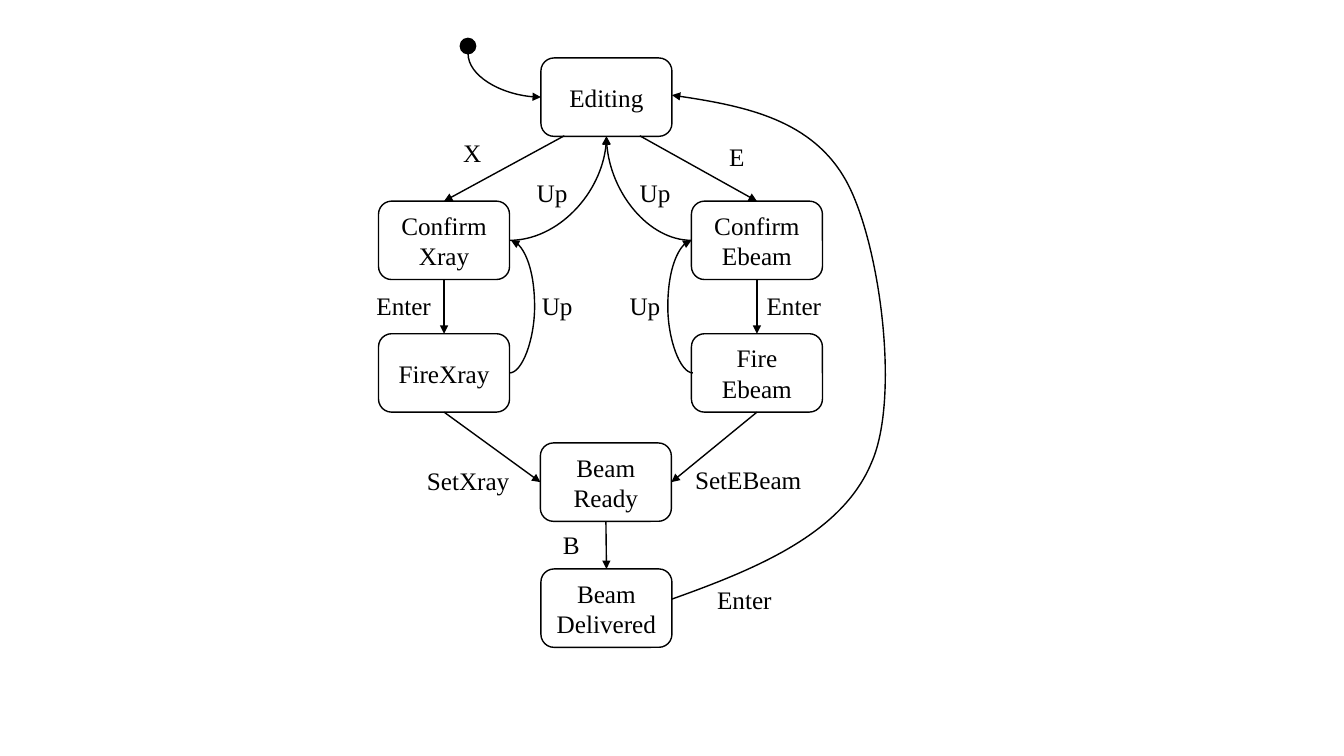
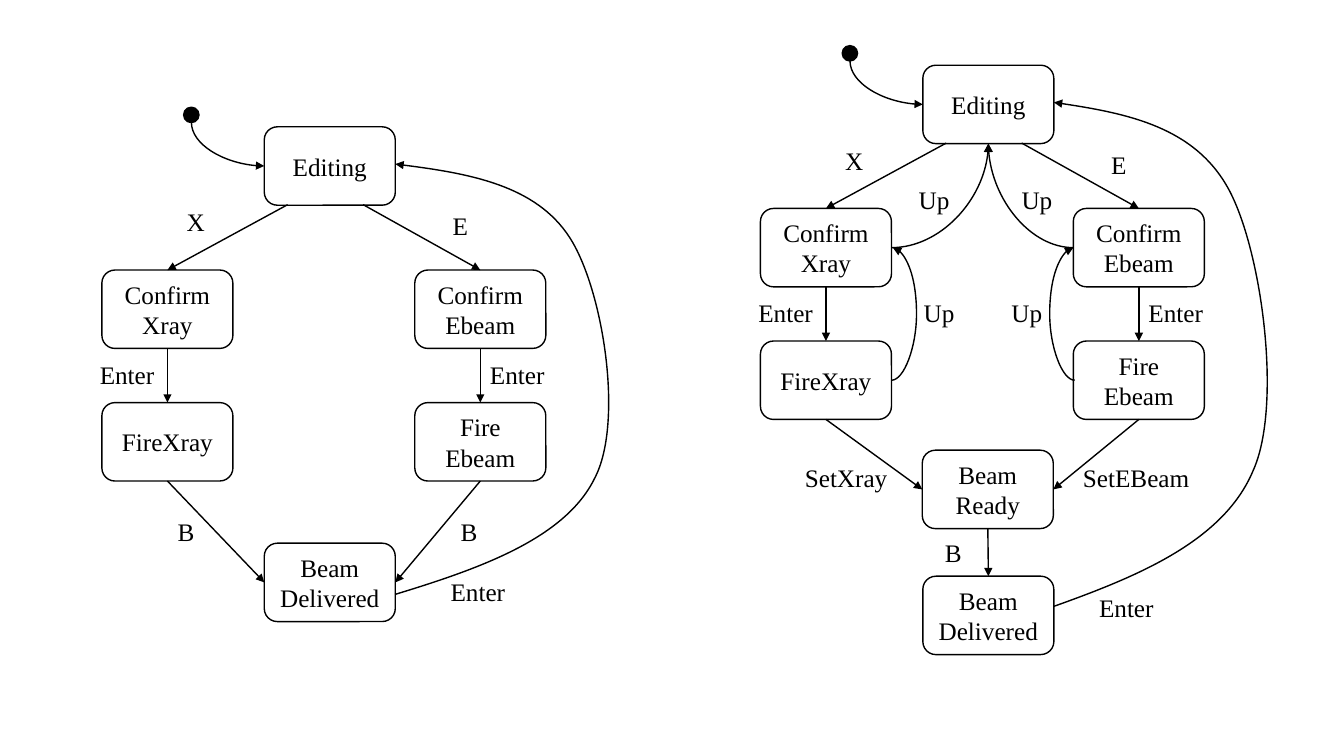
from dataclasses import dataclass

from lxml.etree import SubElement
from pptx import Presentation
from pptx.dml.color import RGBColor
from pptx.enum.shapes import MSO_CONNECTOR as CXN, MSO_SHAPE as SHAPE
from pptx.enum.text import MSO_ANCHOR, MSO_AUTO_SIZE, PP_ALIGN
from pptx.oxml.ns import qn
from pptx.util import Pt

COLORS = {"ink": "000000", "paper": "FFFFFF"}
FONT = "Times New Roman"
BOX_W, BOX_H = 93.6, 56
MID_X, MID_Y = BOX_W / 2, BOX_H / 2
LEFT_X, RIGHT_X = -116, 107.5
CONFIRM_Y, FIRE_Y, READY_Y = 102.3, 197, 275
TOP, LEFT, BOTTOM, RIGHT = range(4)
LOOP_TOP = 26.6
LOOP = [(93.4, 1), (154, 0.94), (215, 0.87), (236, 0.73), (257, 0.6),
        (242, 0.29), (218, 0.17), (194, 0.05), (144, 0.02), (93.6, 0)]


@dataclass(frozen=True)
class State:
    text: str
    x: float
    y: float


@dataclass(frozen=True)
class Label:
    text: str
    x: float
    y: float
    w: float


@dataclass(frozen=True)
class Move:
    source: str
    side_out: int
    target: str
    side_in: int


@dataclass(frozen=True)
class Chart:
    states: list[State]
    moves: list[Move]
    labels: list[Label]
    loop_h: float
    has_up: bool


COMMON_STATES = [
    State("Editing", 0, 0),
    State("Confirm Xray", LEFT_X, CONFIRM_Y),
    State("Confirm Ebeam", RIGHT_X, CONFIRM_Y),
    State("FireXray", LEFT_X, FIRE_Y),
    State("Fire Ebeam", RIGHT_X, FIRE_Y),
]
COMMON_MOVES = [
    Move("Confirm Xray", BOTTOM, "FireXray", TOP),
    Move("Confirm Ebeam", BOTTOM, "Fire Ebeam", TOP),
]
COMMON_LABELS = [
    Label("X", -62.6, 53.3, 27),
    Label("E", 127.4, 56.2, 26),
    Label("Enter", -124.6, 162.5, 55),
    Label("Enter", 154.1, 162.5, 55),
]


def fire_moves(target: str) -> list[Move]:
    return [Move("FireXray", BOTTOM, target, LEFT),
            Move("Fire Ebeam", BOTTOM, target, RIGHT)]


def short_chart() -> Chart:
    return Chart(
        COMMON_STATES + [State("Beam Delivered", 0, 297.4)],
        COMMON_MOVES + fire_moves("Beam Delivered"),
        COMMON_LABELS + [Label("B", -69.1, 274.3, 26.5),
                         Label("B", 133.2, 274.3, 26.5),
                         Label("Enter", 126, 317.5, 55)],
        307.4, False)


def full_chart(xray: Label, ebeam: Label) -> Chart:
    return Chart(
        COMMON_STATES + [State("Beam Ready", -0.4, READY_Y),
                         State("Beam Delivered", 0, 365)],
        COMMON_MOVES + fire_moves("Beam Ready")
        + [Move("Beam Ready", BOTTOM, "Beam Delivered", TOP)],
        COMMON_LABELS + [Label("Up", -10.1, 81.4, 37),
                         Label("Up", 63.4, 81.4, 37),
                         Label("Up", -6.5, 162.5, 37),
                         Label("Up", 56.2, 162.5, 37),
                         Label("B", 8.6, 333.4, 26.5),
                         Label("Enter", 118.8, 372.6, 55), xray, ebeam],
        360, True)


def rgb(name: str) -> RGBColor:
    return RGBColor.from_string(COLORS[name])


def style_text(tf, text: str) -> None:
    p = tf.paragraphs[0]
    p.text = text
    p.font.name, p.font.size = FONT, Pt(18)
    p.font.color.rgb = rgb("ink")


def style_line(sp, arrow: str = "") -> None:
    sp.line.color.rgb = rgb("ink")
    sp.line.width = Pt(1)
    if arrow:
        ln = sp._element.spPr.find(qn("a:ln"))
        SubElement(ln, qn(f"a:{arrow}"), type="triangle")


class Diagram:
    def __init__(self, s, x: float, y: float) -> None:
        self.shapes, self.x, self.y = s.shapes, x, y

    def at(self, x: float, y: float) -> tuple[int, int]:
        return Pt(self.x + x), Pt(self.y + y)

    def solid(self, kind, x: float, y: float, w: float, h: float, fill: str):
        sp = self.shapes.add_shape(kind, *self.at(x, y), Pt(w), Pt(h))
        sp.shadow.inherit = False
        sp.fill.solid()
        sp.fill.fore_color.rgb = rgb(fill)
        style_line(sp)
        return sp

    def state(self, state: State):
        sp = self.solid(SHAPE.ROUNDED_RECTANGLE, state.x, state.y,
                        BOX_W, BOX_H, "paper")
        tf = sp.text_frame
        tf.word_wrap = True
        tf.vertical_anchor = MSO_ANCHOR.MIDDLE
        style_text(tf, state.text)
        tf.paragraphs[0].alignment = PP_ALIGN.CENTER
        return sp

    def label(self, label: Label) -> None:
        sp = self.shapes.add_textbox(*self.at(label.x, label.y),
                                     Pt(label.w), Pt(29))
        tf = sp.text_frame
        tf.word_wrap = False
        tf.auto_size = MSO_AUTO_SIZE.SHAPE_TO_FIT_TEXT
        style_text(tf, label.text)

    def connector(self, kind, start: tuple[float, float],
                  end: tuple[float, float], arrow: str = "tailEnd"):
        c = self.shapes.add_connector(kind, *self.at(*start), *self.at(*end))
        style_line(c, arrow)
        SubElement(c._element.spPr, qn("a:effectLst"))
        return c

    def quarter(self, start: tuple[float, float], end: tuple[float, float],
                arrow: str = "tailEnd") -> None:
        c = self.connector(CXN.CURVE, start, end, arrow)
        c._element.spPr.find(qn("a:prstGeom")).set("prst", "curvedConnector2")

    def bulge(self, start: tuple[float, float], end: tuple[float, float]) -> None:
        c = self.connector(CXN.CURVE, start, end)
        geom = c._element.spPr.find(qn("a:prstGeom"))
        av = geom.find(qn("a:avLst"))
        if av is None:
            av = SubElement(geom, qn("a:avLst"))
        SubElement(av, qn("a:gd"), name="adj1", fmla="val 1800000")

    def loop(self, height: float) -> None:
        pts = [self.at(x, LOOP_TOP + f * height) for x, f in LOOP]
        fb = self.shapes.build_freeform(*pts[0])
        fb.add_line_segments(pts[1:], close=False)
        sp = fb.convert_to_shape()
        sp.shadow.inherit = False
        sp.fill.background()
        style_line(sp, "tailEnd")
        path = next(sp._element.iter(qn("a:path")))
        segments = path.findall(qn("a:lnTo"))
        for i in range(0, len(segments), 3):
            curve = SubElement(path, qn("a:cubicBezTo"))
            for seg in segments[i:i + 3]:
                curve.append(seg[0])
                path.remove(seg)

    def draw(self, chart: Chart) -> None:
        boxes = {state.text: self.state(state) for state in chart.states}
        for x, target in ((16.7, "Confirm Xray"), (70.6, "Confirm Ebeam")):
            c = self.connector(CXN.STRAIGHT, (x, BOX_H - 0.4), (x, CONFIRM_Y))
            c.end_connect(boxes[target], TOP)
        for m in chart.moves:
            c = self.connector(CXN.STRAIGHT, (0, 0), (0, 0))
            c.begin_connect(boxes[m.source], m.side_out)
            c.end_connect(boxes[m.target], m.side_in)
        self.solid(SHAPE.OVAL, -57.6, -14, 11, 11, "ink")
        self.quarter((0, MID_Y), (-52, -3), "headEnd")
        if chart.has_up:
            inner, y = LEFT_X + BOX_W, CONFIRM_Y + MID_Y
            for x in (inner, RIGHT_X):
                self.quarter((x, y), (MID_X, BOX_H))
            for x, step in ((inner, 1), (RIGHT_X + 1, -1)):
                self.bulge((x, FIRE_Y + MID_Y), (x + step, y))
        self.loop(chart.loop_h)
        for label in chart.labels:
            self.label(label)


def main() -> None:
    prs = Presentation()
    prs.slide_width, prs.slide_height = Pt(960), Pt(540)
    single = full_chart(Label("SetXray", -88.6, 287.3, 74),
                        Label("SetEBeam", 103, 286.6, 91))
    paired = full_chart(Label("SetXray", -91.4, 280.2, 74),
                        Label("SetEBeam", 107.3, 280.2, 91))
    slides = [[(386.4, 41.4, single)],
              [(188.8, 90.6, short_chart()), (659.2, 46.6, paired)]]
    for charts in slides:
        s = prs.slides.add_slide(prs.slide_layouts[6])
        for x, y, chart in charts:
            Diagram(s, x, y).draw(chart)
    prs.save("out.pptx")


if __name__ == "__main__":
    main()
